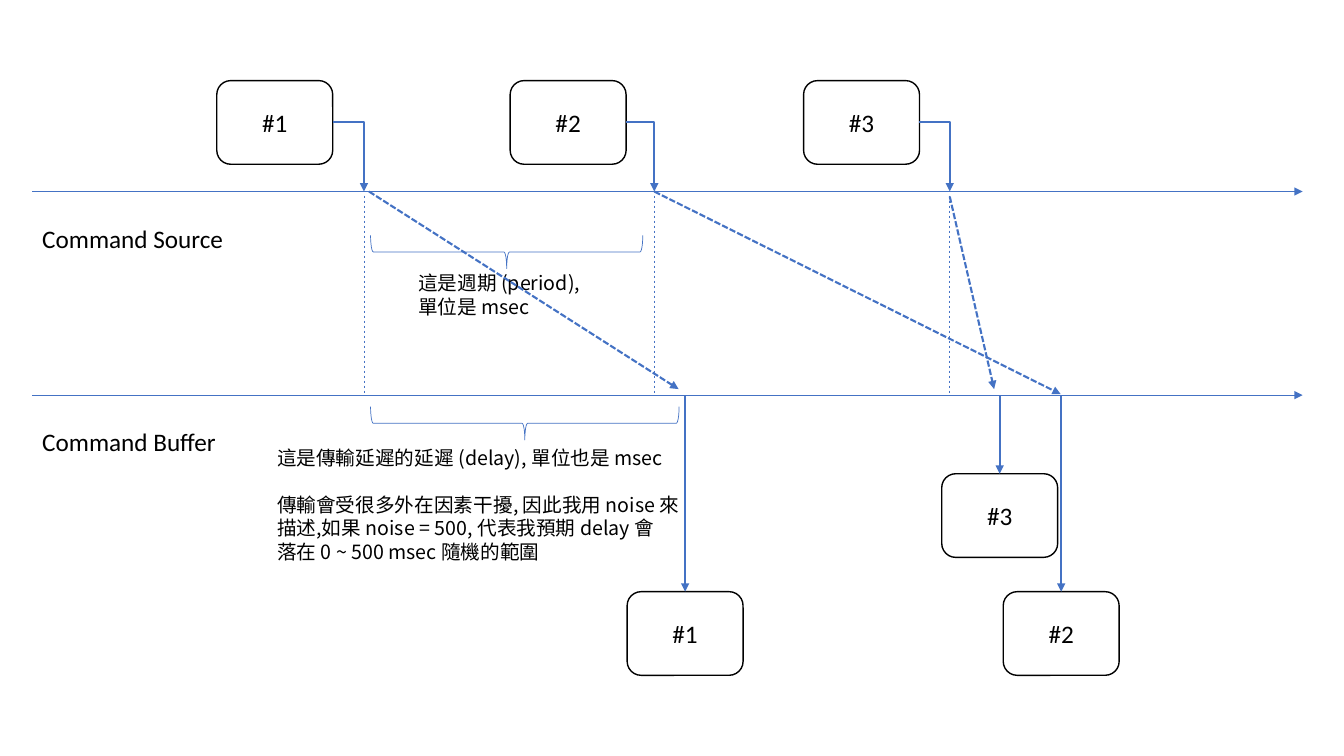
from lxml.etree import SubElement
from pptx import Presentation
from pptx.dml.color import RGBColor
from pptx.enum.dml import MSO_LINE
from pptx.enum.shapes import MSO_CONNECTOR, MSO_SHAPE
from pptx.enum.text import MSO_ANCHOR, MSO_AUTO_SIZE, PP_ALIGN
from pptx.oxml.ns import qn
from pptx.util import Inches, Pt

BLUE = RGBColor(0x44, 0x72, 0xC4)
BLACK = RGBColor(0, 0, 0)
WHITE = RGBColor(255, 255, 255)
LATIN, CJK = "Calibri", "Noto Sans CJK SC"

SOURCE, BUFFER = 1.9, 3.92  # heights of the two time lines
BOX_W, BOX_H, BOX_TOP = 1.15, 0.83, 0.8

deck = Presentation()
deck.slide_width, deck.slide_height = Inches(13.33), Inches(7.5)
slide = deck.slides.add_slide(deck.slide_layouts[6])
shapes = slide.shapes


def link(x1, y1, x2, y2, width, dash=None, arrow=True, bent=False):
    """Draw a blue connector, straight or with one corner."""
    kind = MSO_CONNECTOR.ELBOW if bent else MSO_CONNECTOR.STRAIGHT
    line = shapes.add_connector(kind, *map(Inches, (x1, y1, x2, y2)))
    line.line.color.rgb = BLUE
    line.line.width = Pt(width)
    if dash:
        line.line.dash_style = dash
    props = line.element.spPr
    if bent:
        props.find(qn("a:prstGeom")).set("prst", "bentConnector2")
    if arrow:
        SubElement(props.find(qn("a:ln")), qn("a:tailEnd"), type="triangle")
    SubElement(props, qn("a:effectLst"))


def write(frame, lines, size, font):
    """Fill a text frame with one black paragraph per line."""
    frame.text = "\n".join(lines)
    for para in frame.paragraphs:
        for run in para.runs:
            run.font.size = Pt(size)
            run.font.name = font
            run.font.color.rgb = BLACK
            SubElement(run.font._element, qn("a:ea"), typeface=font)


# Time lines
for y in (SOURCE, BUFFER):
    link(0.32, y, 12.92, y, 0.5)

# Command boxes, sent above and received below
sent = [("#1", 2.15, BOX_TOP), ("#2", 5.06, BOX_TOP), ("#3", 7.97, BOX_TOP)]
got = [("#1", 6.22, 5.87), ("#2", 9.95, 5.87), ("#3", 9.34, 4.7)]
for name, x, y in sent + got:
    box = shapes.add_shape(MSO_SHAPE.ROUNDED_RECTANGLE,
                           *map(Inches, (x, y, BOX_W, BOX_H)))
    box.shadow.inherit = False
    box.fill.solid()
    box.fill.fore_color.rgb = WHITE
    box.line.color.rgb = BLACK
    box.line.width = Pt(1)
    write(box.text_frame, [name], 18, LATIN)
    box.text_frame.vertical_anchor = MSO_ANCHOR.MIDDLE
    box.text_frame.paragraphs[0].alignment = PP_ALIGN.CENTER

# Sending times: elbow down to the source line, dashed guide to the buffer
for (name, x, y), time in zip(sent, (3.61, 6.49, 9.42)):
    link(x + BOX_W, y + BOX_H / 2, time, SOURCE, 1.5, bent=True)
    link(time, SOURCE + 0.04, time, BUFFER, 0.5, MSO_LINE.DASH, arrow=False)

# Arrivals: from the buffer line down to each box
for name, x, y in got:
    mid = x + BOX_W / 2
    link(mid, BUFFER, mid, y, 1.5)

# Braces for period and delay
for x, y, span in ((4.86, 1.15, 2.7), (5.04, 2.67, 3.06)):
    brace = shapes.add_shape(MSO_SHAPE.RIGHT_BRACE,
                             *map(Inches, (x, y, 0.33, span)))
    brace.rotation = 90
    brace.shadow.inherit = False
    brace.fill.background()
    brace.line.color.rgb = BLUE
    brace.line.width = Pt(0.5)

# Labels and notes
period = ["這是週期 (period),", "單位是 msec"]
delay = ["這是傳輸延遲的延遲 (delay), 單位也是 msec",
         "傳輸會受很多外在因素干擾, 因此我用 noise 來",
         "描述,如果 noise = 500, 代表我預期 delay 會".replace("述,", "述,"),
         "落在 0 ~ 500 msec 隨機的範圍"]
for x, y, w, h, lines, size, font, wrap in (
        (0.32, 2.17, 2.02, 0.4, ["Command Source"], 18, LATIN, False),
        (0.32, 4.18, 1.95, 0.4, ["Command Buffer"], 18, LATIN, False),
        (4.05, 2.64, 1.87, 0.57, period, 14, CJK, False),
        (2.65, 4.37, 4.23, 1.28, delay, 14, CJK, True)):
    note = shapes.add_textbox(*map(Inches, (x, y, w, h))).text_frame
    note.word_wrap = wrap
    if not wrap:
        note.auto_size = MSO_AUTO_SIZE.SHAPE_TO_FIT_TEXT
    write(note, lines, size, font)
note.paragraphs[1].space_before = Pt(17)

# Transfers from source to buffer
for ends in ((3.66, SOURCE, 6.73, 3.86),
             (6.49, SOURCE, 10.52, 3.91),
             (9.42, 1.95, 9.86, 3.86)):
    link(*ends, 1.5, MSO_LINE.SQUARE_DOT)

deck.save("out.pptx")
